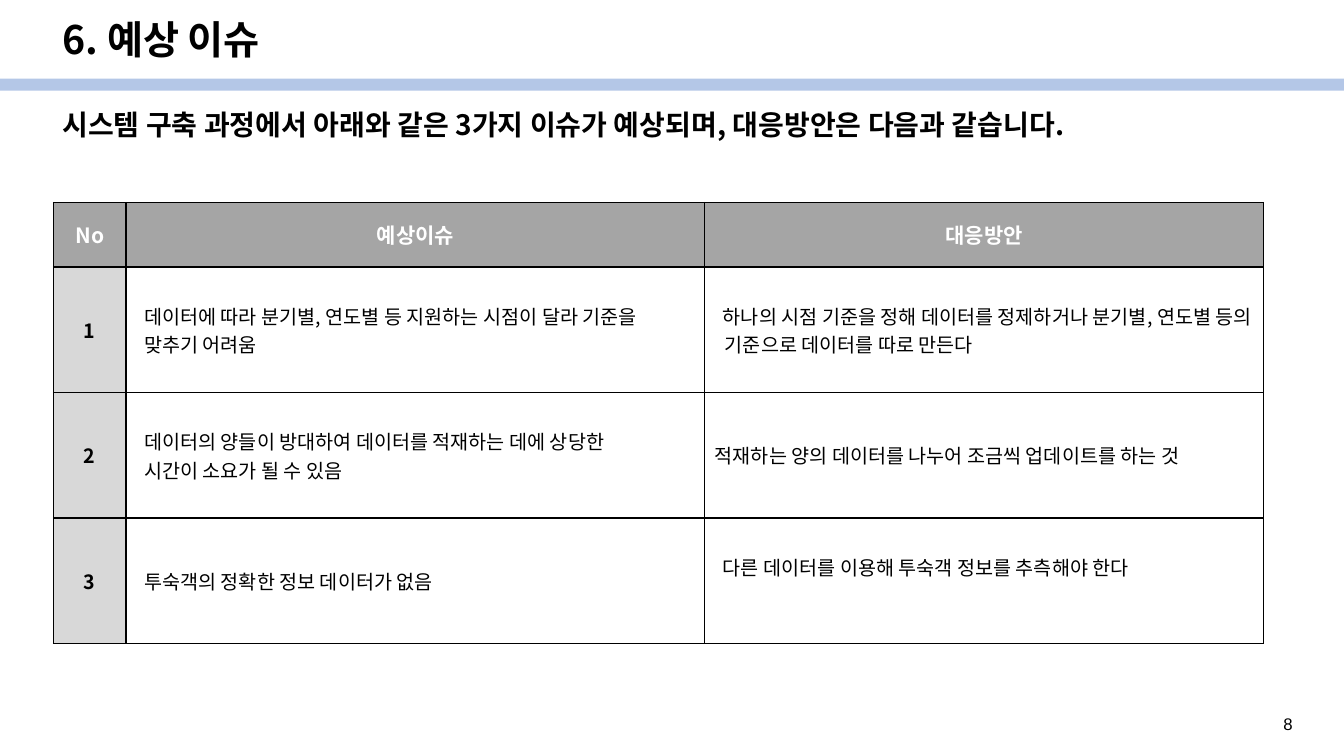
from dataclasses import dataclass

from lxml.etree import SubElement
from pptx import Presentation
from pptx.dml.color import RGBColor
from pptx.enum.shapes import MSO_SHAPE
from pptx.enum.text import MSO_ANCHOR, PP_ALIGN
from pptx.oxml.ns import qn
from pptx.util import Emu, Inches, Pt

COLORS = {
    "black": "000000",
    "white": "FFFFFF",
    "band": "B4C7E7",
    "header": "A5A5A5",
    "number": "D8D8D8",
}
KOREAN = "Noto Sans CJK KR"

prs = Presentation()
prs.slide_width, prs.slide_height = Inches(13.33), Inches(7.5)


def across(percent: float) -> Emu:
    return Emu(round(prs.slide_width * percent / 100))


def down(percent: float) -> Emu:
    return Emu(round(prs.slide_height * percent / 100))


@dataclass
class Box:
    """Position and size in percent of the slide."""
    left: float
    top: float
    width: float
    height: float

    def lengths(self) -> tuple:
        return across(self.left), down(self.top), across(self.width), down(self.height)


@dataclass
class Style:
    size: float
    bold: bool = False
    color: str = "black"
    font: str = KOREAN
    align: PP_ALIGN = PP_ALIGN.LEFT
    spacing: float = 1.0


@dataclass
class Label:
    text: str
    box: Box
    style: Style
    anchor: MSO_ANCHOR = MSO_ANCHOR.MIDDLE


@dataclass
class Cell:
    text: str
    style: Style
    fill: str = ""
    side: float = 0.1
    top: float = 0.04
    bottom: float = 0.04
    indent: float = 0
    first: float = 0


def rgb(name: str) -> RGBColor:
    return RGBColor.from_string(COLORS[name])


def write(tf, text: str, style: Style) -> None:
    tf.text = text
    for p in tf.paragraphs:
        p.alignment, p.line_spacing = style.align, style.spacing
        p.font.size, p.font.bold, p.font.name = Pt(style.size), style.bold, style.font
        p.font.color.rgb = rgb(style.color)
        # East Asian typeface
        SubElement(p.font._element, qn("a:ea"), typeface=style.font)


def add_label(slide, label: Label) -> None:
    tf = slide.shapes.add_textbox(*label.box.lengths()).text_frame
    tf.word_wrap, tf.vertical_anchor = True, label.anchor
    write(tf, label.text, label.style)


def fill_cell(target, cell: Cell) -> None:
    write(target.text_frame, cell.text, cell.style)
    target.vertical_anchor = MSO_ANCHOR.MIDDLE
    target.margin_left = target.margin_right = Inches(cell.side)
    target.margin_top, target.margin_bottom = Inches(cell.top), Inches(cell.bottom)
    for p in target.text_frame.paragraphs:
        pPr = p._p.get_or_add_pPr()
        pPr.set("marL", str(Inches(cell.indent)))
        pPr.set("indent", str(Inches(cell.first)))
    # Borders precede the fill in the cell properties
    tcPr = target._tc.get_or_add_tcPr()
    for side in ("lnL", "lnR", "lnT", "lnB"):
        ln = SubElement(tcPr, qn(f"a:{side}"), w=str(Pt(1)))
        SubElement(SubElement(ln, qn("a:solidFill")), qn("a:srgbClr"), val=COLORS["black"])
    if cell.fill:
        target.fill.solid()
        target.fill.fore_color.rgb = rgb(cell.fill)
    else:
        target.fill.background()


def add_issue_table(slide, box: Box, cols: list[float], rows: list[float],
                    cells: list[list[Cell]]) -> None:
    table = slide.shapes.add_table(len(rows), len(cols), *box.lengths()).table
    for column, width in zip(table.columns, cols):
        column.width = across(width)
    for row, height, line in zip(table.rows, rows, cells):
        row.height = down(height)
        for target, cell in zip(row.cells, line):
            fill_cell(target, cell)


HEAD = Style(15, True, "white", align=PP_ALIGN.CENTER)
NUMBER = Style(14, True, align=PP_ALIGN.CENTER)
BODY = Style(14)


def header(text: str) -> Cell:
    return Cell(text, HEAD, "header", top=0.05, bottom=0.05)


def number(value: int) -> Cell:
    return Cell(str(value), NUMBER, "number", 0.05, 0.05, 0.05)


def hanging(text: str, bottom: float = 0.04) -> Cell:
    return Cell(text, BODY, bottom=bottom, indent=0.1, first=-0.02)


LABELS = [
    Label("8", Box(94.75, 94, 3.9, 3.6), Style(12, font="Arial")),
    Label("6. 예상 이슈", Box(3.9, 2, 86.27, 7.07), Style(28, True, spacing=0.9)),
    Label("시스템 구축 과정에서 아래와 같은 3가지 이슈가 예상되며, 대응방안은 다음과 같습니다.",
          Box(3.9, 14.13, 90.1, 9.47), Style(20, True, spacing=0.9), MSO_ANCHOR.TOP),
]
COLS = [5.4, 43.06, 41.56]
ROWS = [8.53] + [16.6] * 3
ISSUES = [
    (Cell("데이터에 따라 분기별, 연도별 등 지원하는 시점이 달라 기준을 맞추기 어려움", BODY, indent=0.08),
     hanging("하나의 시점 기준을 정해 데이터를 정제하거나 분기별, 연도별 등의 기준으로 데이터를 따로 만든다")),
    (hanging("데이터의 양들이 방대하여 데이터를 적재하는 데에 상당한\n시간이 소요가 될 수 있음"),
     Cell("적재하는 양의 데이터를 나누어 조금씩 업데이트를 하는 것", BODY)),
    (hanging("투숙객의 정확한 정보 데이터가 없음"),
     hanging("다른 데이터를 이용해 투숙객 정보를 추측해야 한다", bottom=0.32)),
]


def main() -> None:
    slide = prs.slides.add_slide(prs.slide_layouts[6])

    # Band under the title
    sp = slide.shapes.add_shape(MSO_SHAPE.RECTANGLE, *Box(0, 10.4, 100, 1.6).lengths())
    sp.shadow.inherit = False
    sp.fill.solid()
    sp.fill.fore_color.rgb = rgb("band")
    sp.line.fill.background()

    # Title, lead sentence and page number
    for label in LABELS:
        add_label(slide, label)

    # Issues and responses
    cells = [[header(text) for text in ("No", "예상이슈", "대응방안")]]
    cells += [[number(i), *pair] for i, pair in enumerate(ISSUES, 1)]
    add_issue_table(slide, Box(3.98, 26.8, sum(COLS), sum(ROWS)), COLS, ROWS, cells)

    prs.save("out.pptx")


if __name__ == "__main__":
    main()
